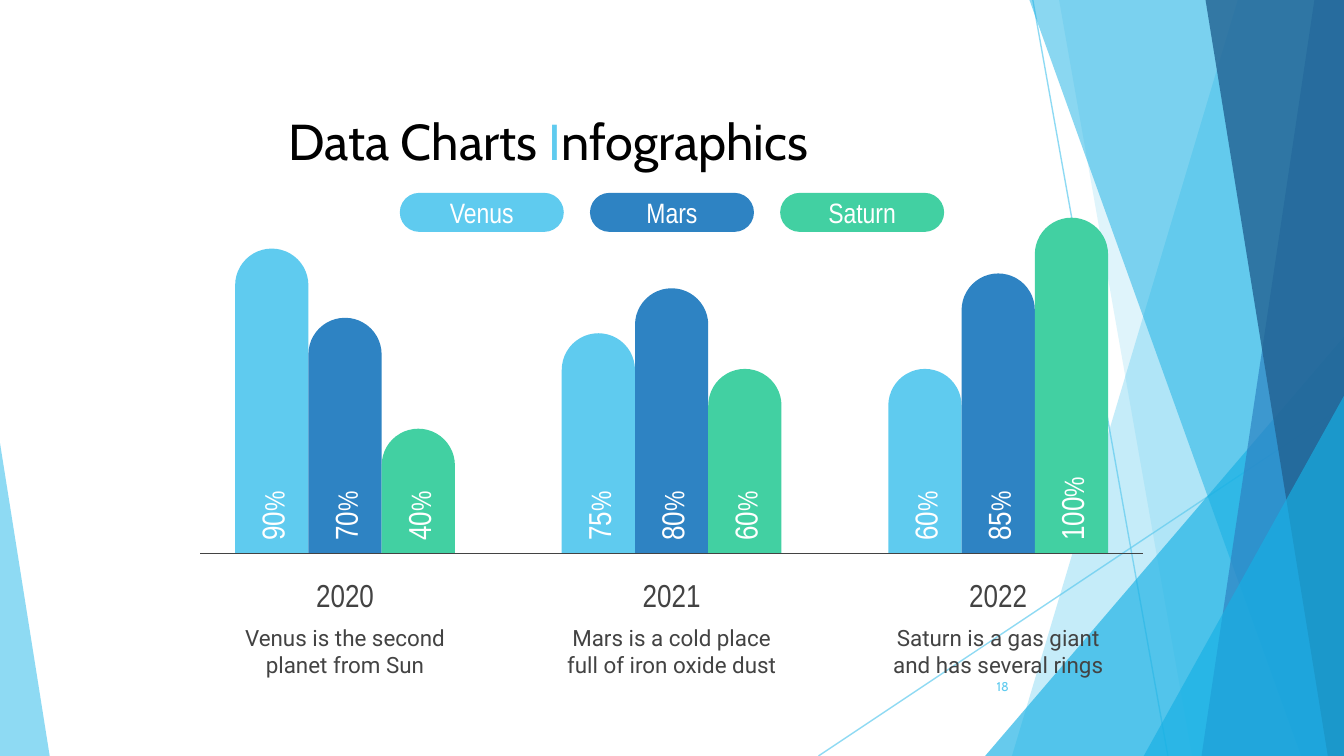
from lxml import etree
from pptx import Presentation, util as u
from pptx.dml.color import RGBColor
from pptx.enum import shapes, text
from pptx.oxml.ns import qn

PX = 4572  # EMU, 200 px to the inch
WIDTH, HEIGHT = 2000, 1125
SKY, BLUE, GREEN = "5FCBEF", "2E83C3", "42D0A2"
CYAN, NAVY, GREY, WHITE, BLACK = "17B0E4", "226292", "434343", "FFFFFF", "000000"
NARROW, CABIN, ROBOTO = "Arial Narrow", "Cabin", "Roboto"
SERIES = [("Venus", SKY), ("Mars", BLUE), ("Saturn", GREEN)]
# year, caption, (value, bar height) for each series
YEARS = [
    ("2020", "Venus is the second planet from Sun", [(90, 454), (70, 351), (40, 186)]),
    ("2021", "Mars is a cold place full of iron oxide dust", [(75, 328), (80, 395), (60, 275)]),
    ("2022", "Saturn is a gas giant and has several rings", [(60, 275), (85, 417), (100, 500)]),
]
# top-left x, bottom-left x, colour, opacity; each facet reaches the right edge
FACETS_BACK = [(1842, 1506, SKY, 36), (1576, 1774, SKY, 20)]
FACETS_FRONT = [(1532, 1936, CYAN, 50), (1956, 1788, BLUE, 70), (1794, 1976, NAVY, 80)]


def emu(px):
    return u.Emu(round(px * PX))


def paint(color_format, color):
    color_format.rgb = RGBColor.from_string(color)


def set_opacity(properties, opacity):
    """Make every solid colour below the given element partly transparent."""
    for color in properties.iter(qn("a:srgbClr")):
        etree.SubElement(color, qn("a:alpha")).set("val", str(opacity * 1000))


def style(shape, fill, opacity=100, line=None):
    shape.shadow.inherit = False
    shape.fill.solid()
    paint(shape.fill.fore_color, fill)
    if line:
        paint(shape.line.color, line)
        shape.line.width = u.Pt(0.75)
    else:
        shape.line.fill.background()
    if opacity < 100:
        set_opacity(shape._element.spPr, opacity)


def add_shape(slide, kind, box, adjustments, fill, opacity=100, line=None):
    shape = slide.shapes.add_shape(kind, *map(emu, box))
    for index, value in enumerate(adjustments):
        shape.adjustments[index] = value
    style(shape, fill, opacity, line)
    return shape


def add_line(slide, start, end, color, opacity=100):
    line = slide.shapes.add_connector(
        shapes.MSO_CONNECTOR.STRAIGHT, *map(emu, (*start, *end)))
    paint(line.line.color, color)
    line.line.width = u.Pt(0.75)
    properties = line._element.spPr
    if opacity < 100:
        set_opacity(properties, opacity)
    etree.SubElement(properties, qn("a:effectLst"))


def write(shape, runs, align=text.PP_ALIGN.CENTER, anchor=text.MSO_ANCHOR.MIDDLE):
    """Fill a shape with one paragraph of (words, size, font, colour) runs."""
    frame = shape.text_frame
    frame.word_wrap = True
    frame.vertical_anchor = anchor
    frame.margin_left = frame.margin_right = emu(20)
    frame.margin_top = frame.margin_bottom = emu(20)
    paragraph = frame.paragraphs[0]
    paragraph.alignment = align
    for words, size, font, color in runs:
        run = paragraph.add_run()
        run.text = words
        run.font.size = u.Pt(size)
        run.font.name = font
        paint(run.font.color, color)


def add_text(slide, box, runs, **layout):
    shape = slide.shapes.add_textbox(*map(emu, box))
    write(shape, runs, **layout)
    return shape


def add_facets(slide, box, facets):
    left, top, width, height = box
    right, bottom = left + width, top + height
    for top_x, bottom_x, color, opacity in facets:
        builder = slide.shapes.build_freeform(left + top_x, top, scale=PX)
        builder.add_line_segments(
            [(right, top), (right, bottom), (left + bottom_x, bottom)], close=True)
        style(builder.convert_to_shape(), color, opacity)


def add_corner(slide, box, width, height, color, opacity, at_right=True):
    """Add a right triangle standing in a bottom corner of the box."""
    left, top, box_width, box_height = box
    x = left + box_width - width if at_right else left
    add_shape(slide, shapes.MSO_SHAPE.ISOSCELES_TRIANGLE,
              (x, top + box_height - height, width, height),
              [1 if at_right else 0], color, opacity)


def add_background(slide, box):
    left, top, width, height = box
    add_line(slide, (left + 1537, top), (left + 1738, top + height), SKY, 70)
    add_line(slide, (left + width, top + 604), (left + 1218, top + height), SKY, 70)
    add_facets(slide, box, FACETS_BACK)
    add_corner(slide, box, 534, 624, CYAN, 66)
    add_facets(slide, box, FACETS_FRONT)
    add_corner(slide, box, 298, 536, CYAN, 66)
    add_corner(slide, box, 74, 466, SKY, 70, at_right=False)


def add_legend(slide, box):
    left, top, width, height = box
    pill_width = 242
    step = (width - pill_width) / (len(SERIES) - 1)
    for index, (name, color) in enumerate(SERIES):
        pill = add_shape(slide, shapes.MSO_SHAPE.ROUNDED_RECTANGLE,
                         (left + index * step, top, pill_width, height),
                         [0.5], color, line=color)
        write(pill, [(name, 15, NARROW, WHITE)])


def add_year(slide, box, year, caption, bars):
    """Draw one year's bars, standing on the bottom of the box, and its captions."""
    left, top, width, height = box
    bottom = top + height
    bar_width = width / len(bars)
    for index, ((value, bar_height), (_, color)) in enumerate(zip(bars, SERIES)):
        x = left + index * bar_width
        add_shape(slide, shapes.MSO_SHAPE.ROUND_2_SAME_RECTANGLE,
                  (x, bottom - bar_height, bar_width, bar_height), [0.5, 0], color)
        label = add_text(slide, (x + bar_width / 2 - 115, bottom - 142, 230, 54),
                         [(str(value), 17, NARROW, WHITE), ("%", 15, NARROW, WHITE)],
                         align=text.PP_ALIGN.LEFT)
        label.rotation = 270
    add_text(slide, (left, bottom + 30, width, 62), [(year, 17, NARROW, GREY)])
    add_text(slide, (left - 14, bottom + 103, width + 28, 84), [(caption, 12, ROBOTO, GREY)])


def add_chart_area(slide, box):
    left, top, width, height = box
    inset, year_width = 52, 327
    step = (width - 2 * inset - year_width) / (len(YEARS) - 1)
    for index, (year, caption, bars) in enumerate(YEARS):
        add_year(slide, (left + inset + index * step, top, year_width, height),
                 year, caption, bars)
    add_line(slide, (left, top + height), (left + width, top + height), GREY)


def main():
    presentation = Presentation()
    presentation.slide_width, presentation.slide_height = emu(WIDTH), emu(HEIGHT)
    slide = presentation.slides.add_slide(presentation.slide_layouts[6])
    add_background(slide, (0, 0, WIDTH, HEIGHT))
    add_text(slide, (111, 101, 1410, 216), [
        ("Data Charts ", 27, CABIN, BLACK),
        ("I", 27, CABIN, SKY),
        ("nfographics", 27, CABIN, BLACK),
    ])
    add_text(slide, (1409, 999, 112, 60), [("18", 6.8, CABIN, SKY)],
             align=text.PP_ALIGN.RIGHT, anchor=text.MSO_ANCHOR.TOP)
    add_legend(slide, (596, 288, 808, 56))
    add_chart_area(slide, (298, 324, 1403, 500))
    presentation.save("out.pptx")


if __name__ == "__main__":
    main()
